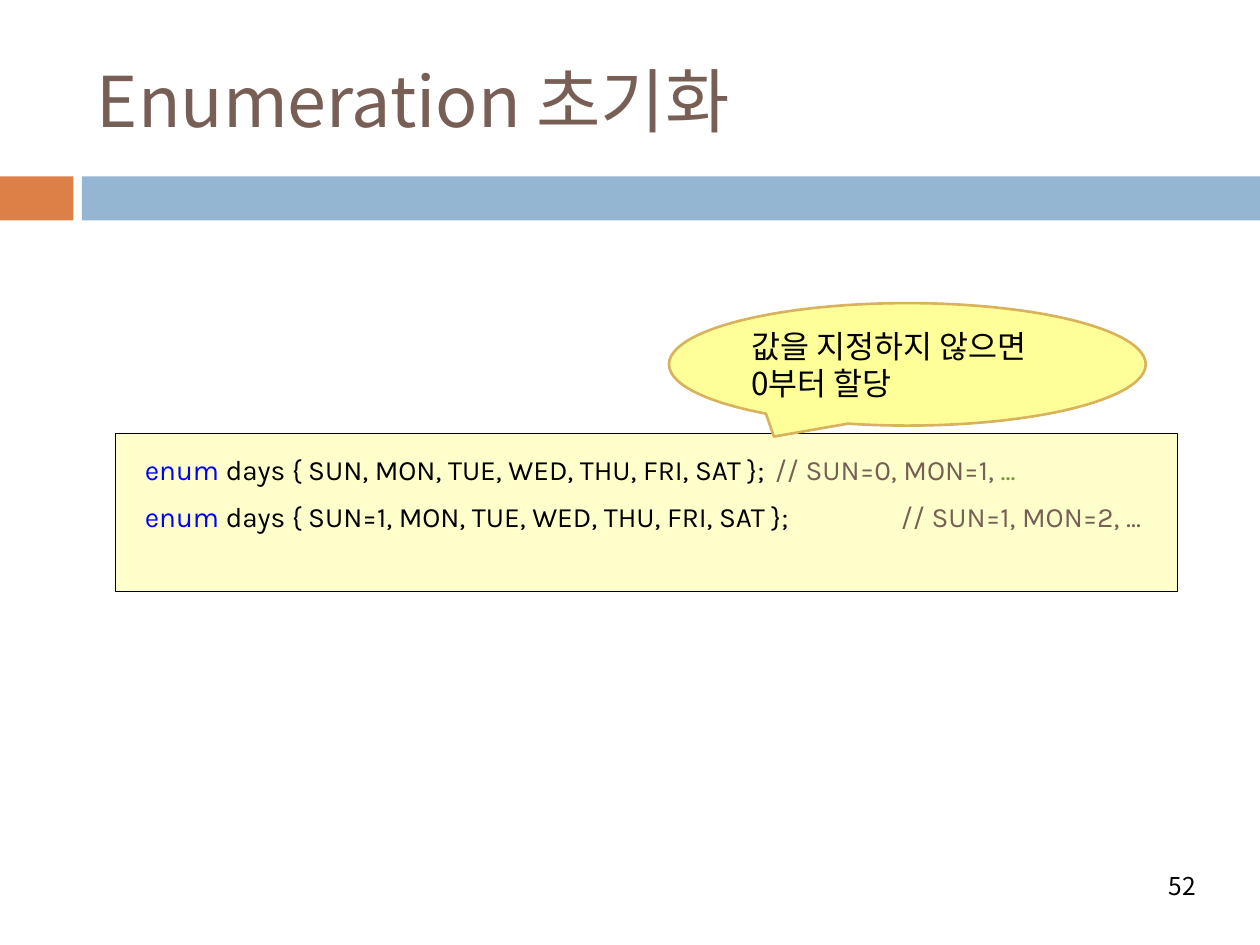
from typing import NamedTuple

from lxml.etree import SubElement
from pptx import Presentation
from pptx.dml.color import RGBColor
from pptx.enum.shapes import MSO_SHAPE as Preset
from pptx.enum.text import MSO_ANCHOR as Anchor, PP_ALIGN as Align
from pptx.oxml.ns import qn
from pptx.util import Pt

KOREAN, CODE = "Noto Sans CJK KR", "Karla"
BLACK, BROWN, BLUE, GREEN = "000000", "775F55", "0000FF", "699B37"
TAB_STOPS = (360, 432)


class Box(NamedTuple):
    left: float
    top: float
    width: float
    height: float


class Panel(NamedTuple):
    box: Box
    preset: Preset
    fill: str
    line: str | None = None
    line_width: float = 0


class Piece(NamedTuple):
    text: str
    color: str


BANDS = [
    Panel(Box(0, 100.8, 42, 25.2), Preset.RECTANGLE, "DD8047"),
    Panel(Box(46.8, 100.8, 673.2, 25.2), Preset.RECTANGLE, "94B6D2"),
]
CODE_PANEL = Panel(Box(65.8, 247.4, 606.7, 90.7), Preset.RECTANGLE, "FFFFCC", BLACK, 0.33)
CALLOUT = Panel(Box(382.3, 173.2, 272.4, 70), Preset.OVAL_CALLOUT, "FFFF99", "D8B25C", 1.5)
CODE_LINES = [
    [
        Piece("enum ", BLUE),
        Piece("days { SUN, MON, TUE, WED, THU, FRI, SAT };\t", BLACK),
        Piece("// SUN=0, MON=1, ", BROWN),
        Piece("...", GREEN),
    ],
    [
        Piece("enum ", BLUE),
        Piece("days { SUN=1, MON, TUE, WED, THU, FRI, SAT };\t", BLACK),
        Piece("// SUN=1, MON=2, ...", BROWN),
    ],
]


def rgb(color: str) -> RGBColor:
    return RGBColor.from_string(color)


def format_run(run, size: float, face: str, color: str) -> None:
    run.font.size = Pt(size)
    run.font.name = face
    run.font.color.rgb = rgb(color)
    SubElement(run.font._element, qn("a:ea"), typeface=face)


def set_text(frame, text: str, size: float, color: str, align: Align) -> None:
    frame.text = text
    frame.word_wrap = True
    frame.vertical_anchor = Anchor.MIDDLE
    for paragraph in frame.paragraphs:
        paragraph.alignment = align
        for run in paragraph.runs:
            format_run(run, size, KOREAN, color)


def add_panel(slide, panel: Panel):
    shape = slide.shapes.add_shape(panel.preset, *map(Pt, panel.box))
    shape.shadow.inherit = False
    shape.fill.solid()
    shape.fill.fore_color.rgb = rgb(panel.fill)
    if panel.line:
        shape.line.color.rgb = rgb(panel.line)
        shape.line.width = Pt(panel.line_width)
    else:
        shape.line.fill.background()
    return shape


def add_code(slide) -> None:
    frame = add_panel(slide, CODE_PANEL).text_frame
    frame.word_wrap = True
    frame.vertical_anchor = Anchor.TOP
    frame.margin_left = Pt(17)
    for index, pieces in enumerate(CODE_LINES):
        paragraph = frame.add_paragraph() if index else frame.paragraphs[0]
        paragraph.alignment = Align.LEFT
        paragraph.line_spacing = 1.4
        tabs = SubElement(paragraph._p.get_or_add_pPr(), qn("a:tabLst"))
        for stop in TAB_STOPS:
            SubElement(tabs, qn("a:tab"), pos=str(Pt(stop)), algn="l")
        for piece in pieces:
            run = paragraph.add_run()
            run.text = piece.text
            format_run(run, 16, CODE, piece.color)


def main() -> None:
    deck = Presentation()
    deck.slide_width, deck.slide_height = Pt(720), Pt(540)
    slide = deck.slides.add_slide(deck.slide_layouts[5])

    title = slide.shapes.title
    title.left, title.top, title.width, title.height = map(Pt, Box(48.2, 18, 642.2, 77.8))
    set_text(title.text_frame, "Enumeration 초기화", 40, BROWN, Align.LEFT)

    for band in BANDS:
        add_panel(slide, band)
    add_code(slide)

    callout = add_panel(slide, CALLOUT)
    callout.adjustments[0], callout.adjustments[1] = -0.28, 0.59
    set_text(callout.text_frame, "값을 지정하지 않으면\n0부터 할당", 18, BLACK, Align.JUSTIFY)

    page_number = slide.shapes.add_textbox(*map(Pt, Box(490.3, 491.8, 200.2, 28.8)))
    set_text(page_number.text_frame, "52", 14, BLACK, Align.RIGHT)

    deck.save("out.pptx")


if __name__ == "__main__":
    main()
